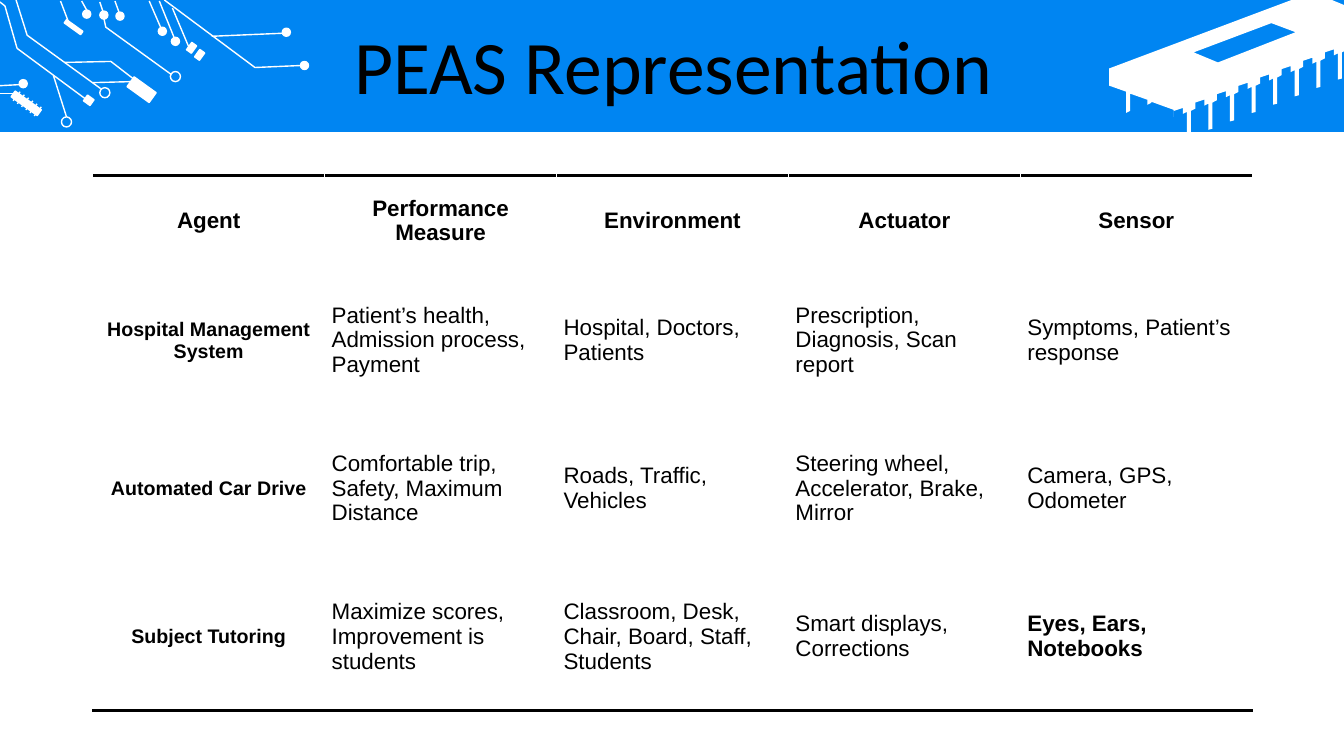
from pptx import Presentation
from pptx.dml.color import RGBColor
from pptx.enum.shapes import MSO_CONNECTOR, MSO_SHAPE as SHAPE
from pptx.enum.text import MSO_ANCHOR as ANCHOR, PP_ALIGN as ALIGN
from pptx.oxml import parse_xml
from pptx.oxml.ns import nsdecls
from pptx.util import Inches, Pt

COLORS = {"blue": "0085F2", "white": "FFFFFF", "black": "000000"}
TILT = 35.7

RECTS = [(1.27, 0.83, 0.27, 0.12), (0.63, 0.25, 0.2, 0.04), (0.84, 0.96, 0.08, 0.07),
         (1.87, 0.43, 0.06, 0.09), (1.95, 0.5, 0.06, 0.09), (0.1, 0.99, 0.32, 0.07)]
DOTS = [(2.98, 0.61), (2.8, 0.28), (0.82, 0.1), (0.99, 0.11), (1.15, 0.12),
        (0.19, 0.79), (1.7, 0.37), (1.57, 0.27)]
RINGS = [(1.69, 0.71), (0.99, 0.87), (0.61, 1.16)]
WIRES = [(0.6, 0.01, 0.68, 0.22), (0.81, 0.01, 0.86, 0.1), (0.99, 0.02, 1.02, 0.11),
         (1.14, 0.01, 1.18, 0.12), (1.48, 0.01, 1.61, 0.31), (1.58, 0.01, 1.73, 0.38),
         (2.1, 0.36, 2.8, 0.33), (1.71, 0.08, 1.87, 0.46), (0, 0.85, 0.19, 0.84),
         (0, 0.93, 0.14, 0.93), (0.53, 0.75, 0.66, 1.16), (0.92, 0.82, 1.3, 0.81)]
TICKS = [(0.13 + 0.042 * i, 1 + 0.03 * i, 0.2 + 0.042 * i, 0.91 + 0.03 * i) for i in range(6)]
TRACES = [[(1.63, 0), (2.53, 0.67), (2.99, 0.65)],
          [(0.16, 0), (0.27, 0.35), (1, 0.88)],
          [(0, 0.02), (0.05, 0.06), (0.17, 0.48), (0.86, 0.99)],
          [(0.64, 0.62), (1.1, 0.61), (1.32, 0.78)],
          [(1.03, 0.18), (1.05, 0.27), (1.7, 0.74)]]

CHIP_WINDOW = [(1.61, 0.23), (0.84, 0.52), (1.08, 0.62), (1.85, 0.32)]
CHIP_TOP = [(1.81, 0), (2.21, 0), (2.33, 0.05), (2.33, 0.51)]
CHIP_PIN = [(0, 0), (0, 0.26), (-0.04, 0.27), (-0.04, 0.01),
            (-0.08, 0.03), (-0.08, -0.03), (-0.17, 0), (-0.17, 0.06)]
CHIP_SIDE = [(0.64, 1.09), (0.42, 1.01), (0.42, 1.02), (0.38, 1.04), (0.38, 0.99), (0.21, 0.93),
             (0.21, 1.1), (0.17, 1.12), (0.17, 0.91), (0, 0.85), (0, 0.68)]

ROWS = [
    ["Agent", "Performance Measure", "Environment", "Actuator", "Sensor"],
    ["Hospital Management System", "Patient’s health, Admission process, Payment",
     "Hospital, Doctors, Patients", "Prescription, Diagnosis, Scan report",
     "Symptoms, Patient’s response"],
    ["Automated Car Drive", "Comfortable trip, Safety, Maximum Distance",
     "Roads, Traffic, Vehicles", "Steering wheel, Accelerator, Brake, Mirror",
     "Camera, GPS, Odometer"],
    ["Subject Tutoring", "Maximize scores, Improvement is students",
     "Classroom, Desk, Chair, Board, Staff, Students", "Smart displays, Corrections",
     "Eyes, Ears, Notebooks"],
]


def color(name):
    """Return the named colour."""
    return RGBColor.from_string(COLORS[name])


def set_all(obj, formats):
    """Set each attribute of the object from a dict."""
    for name, value in formats.items():
        setattr(obj, name, value)


def paint(sp, fill=None, line=None):
    """Set fill and line of a shape and drop its shadow."""
    sp.shadow.inherit = False
    if fill:
        sp.fill.solid()
        sp.fill.fore_color.rgb = color(fill)
    else:
        sp.fill.background()
    if line:
        sp.line.color.rgb = color(line)
        sp.line.width = Pt(1)
    else:
        sp.line.fill.background()


def add_preset(shapes, kind, box, fill=None, line=None, rotation=0):
    """Add a painted preset shape."""
    sp = shapes.add_shape(kind, *map(Inches, box))
    sp.rotation = rotation
    paint(sp, fill, line)


def add_outline(shapes, contours, origin, close, fill=None, line=None):
    """Add a freeform made of one or more contours."""
    x, y = origin
    contours = [[(Inches(x + px), Inches(y + py)) for px, py in c] for c in contours]
    fb = shapes.build_freeform(*contours[0][0], scale=1.0)
    fb.add_line_segments(contours[0][1:], close=close)
    for start, *rest in contours[1:]:
        fb.move_to(*start)
        fb.add_line_segments(rest, close=close)
    paint(fb.convert_to_shape(), fill, line)


def add_wire(shapes, x1, y1, x2, y2):
    """Add a thin white straight line."""
    cn = shapes.add_connector(MSO_CONNECTOR.STRAIGHT, *map(Inches, (x1, y1, x2, y2)))
    cn.line.color.rgb = color("white")
    cn.line.width = Pt(1)
    cn._element.spPr.append(parse_xml(f"<a:effectLst {nsdecls('a')}/>"))


def add_chip(s, x, y):
    """Draw the chip with its eight evenly stepped pins."""
    pins = [(2.31 - 0.214 * i + dx, 0.52 + 0.083 * i + dy)
            for i in range(8) for dx, dy in CHIP_PIN]
    add_outline(s.shapes, [CHIP_WINDOW, CHIP_TOP + pins + CHIP_SIDE], (x, y), True, "white")


def add_circuit(s, x, y):
    """Draw the circuit traces and components as one group."""
    shapes = s.shapes.add_group_shape().shapes
    for left, top, w, h in RECTS:
        add_preset(shapes, SHAPE.RECTANGLE, (x + left, y + top, w, h), "white", "white", TILT)
    for spots, size, fill in ((DOTS, 0.08, "white"), (RINGS, 0.1, None)):
        for left, top in spots:
            add_preset(shapes, SHAPE.OVAL, (x + left, y + top, size, size), fill, "white")
    for x1, y1, x2, y2 in WIRES + TICKS:
        add_wire(shapes, x + x1, y + y1, x + x2, y + y2)
    for trace in TRACES:
        add_outline(shapes, [trace], (x, y), False, line="white")


def write(tf, text, align, font):
    """Write one paragraph of formatted text."""
    p = tf.paragraphs[0]
    p.alignment = align
    r = p.add_run()
    r.text = text
    r.font.color.rgb = color("black")
    set_all(r.font, font)
    return p


def add_banner(s, x, y, w, h):
    """Draw the header band with its artwork and title."""
    add_preset(s.shapes, SHAPE.RECTANGLE, (x, y, w, h), "blue")
    add_chip(s, x + w - 2.33, y)
    add_circuit(s, x, y)
    tb = s.shapes.add_textbox(*map(Inches, (x + 0.35, y + 0.3, w - 0.67, 0.79)))
    tf = tb.text_frame
    set_all(tf, {"word_wrap": True, "vertical_anchor": ANCHOR.MIDDLE})
    p = write(tf, "PEAS Representation", ALIGN.CENTER, {"name": "Calibri", "size": Pt(54)})
    p.line_spacing = 0.9


def add_border(cell, side):
    """Add a black rule on one side of a cell."""
    cell._tc.get_or_add_tcPr().insert(0, parse_xml(
        f'<a:{side} {nsdecls("a")} w="{Pt(2)}"><a:solidFill>'
        f'<a:srgbClr val="{COLORS["black"]}"/></a:solidFill></a:{side}>'))


def add_peas_table(s, x, y, w, h, header_h=0.9):
    """Place the PEAS table, ruled above and below."""
    last = len(ROWS) - 1
    table = s.shapes.add_table(len(ROWS), len(ROWS[0]), *map(Inches, (x, y, w, h))).table
    set_all(table, {"first_row": False, "horz_banding": False})
    for col in table.columns:
        col.width = Inches(w / len(ROWS[0]))
    for i, texts in enumerate(ROWS):
        table.rows[i].height = Inches((h - header_h) / last if i else header_h)
        pad = Inches(0.1 if i else 0.07)
        for j, text in enumerate(texts):
            cell = table.cell(i, j)
            set_all(cell, {"vertical_anchor": ANCHOR.MIDDLE, "margin_left": Inches(0.07),
                           "margin_right": Inches(0.07), "margin_top": pad, "margin_bottom": pad})
            cell.fill.solid()
            cell.fill.fore_color.rgb = color("white")
            heading = i == 0 or j == 0
            bold = heading or text == "Eyes, Ears, Notebooks"
            write(cell.text_frame, text, ALIGN.CENTER if heading else ALIGN.LEFT,
                  {"name": "Arial", "size": Pt(14 if i and not j else 16), "bold": bold})
            if i in (0, last):
                add_border(cell, "lnB" if i else "lnT")


def main():
    """Build the slide and save it."""
    prs = Presentation()
    set_all(prs, {"slide_width": Inches(13.33), "slide_height": Inches(7.5)})
    s = prs.slides.add_slide(prs.slide_layouts[6])
    add_banner(s, 0, 0, 13.33, 1.31)
    add_peas_table(s, 0.92, 1.74, 11.5, 5.31)
    prs.save("out.pptx")


if __name__ == "__main__":
    main()
